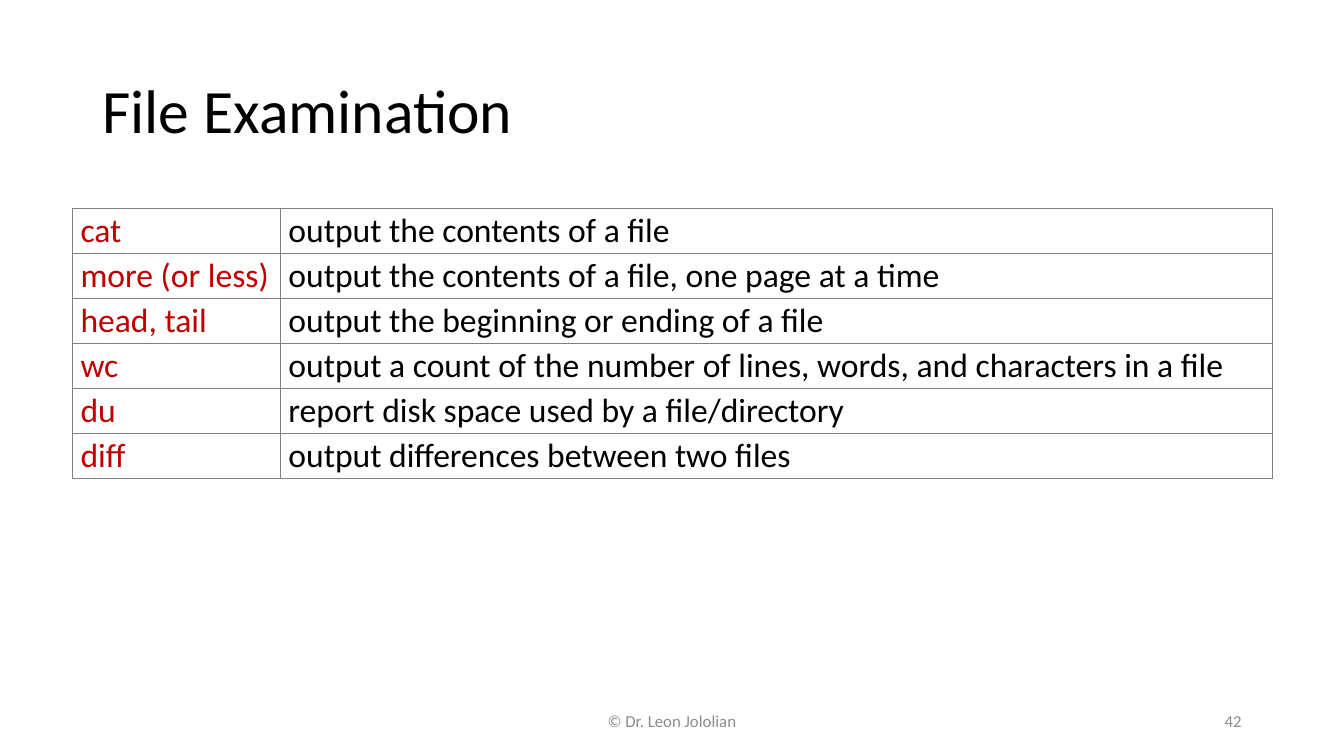
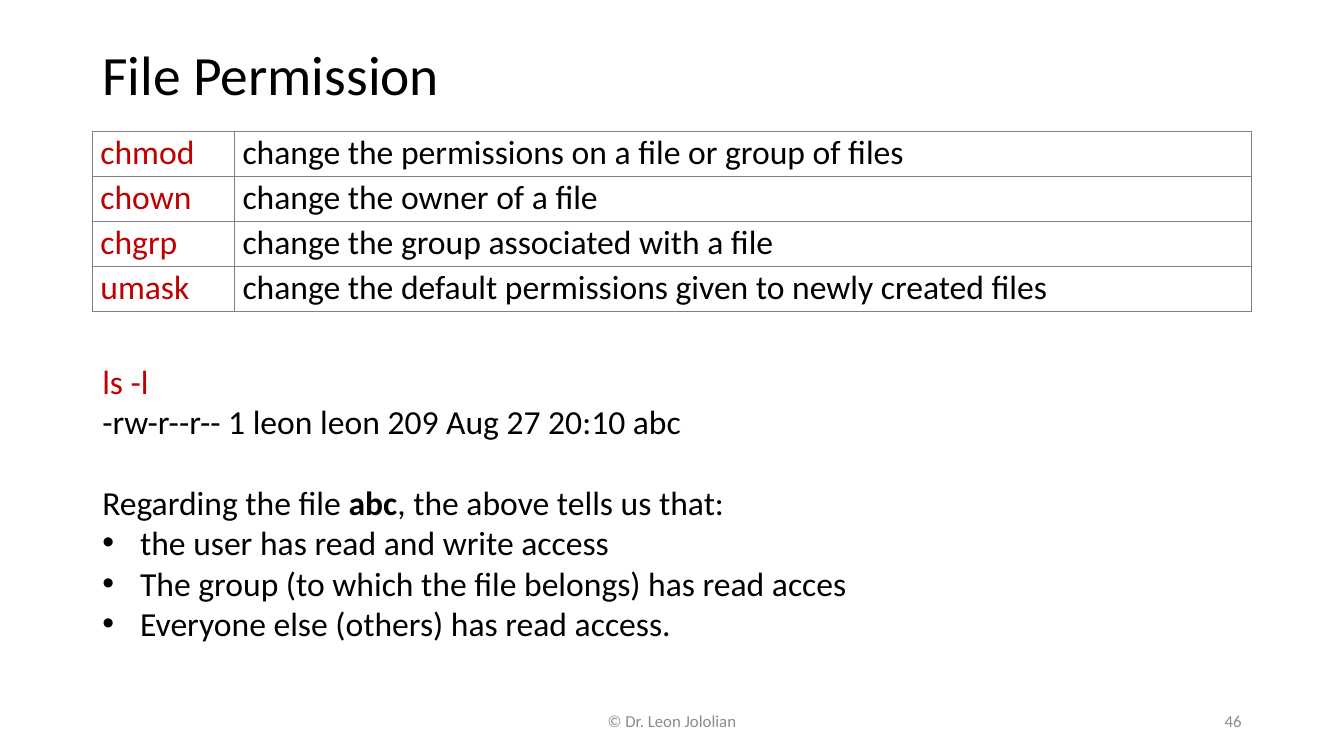
from dataclasses import dataclass

import pptx
import pptx.dml.color
import pptx.enum.text
import pptx.oxml
import pptx.oxml.ns
import pptx.util
from lxml import etree

Pt = pptx.util.Pt
Align = pptx.enum.text.PP_ALIGN
Anchor = pptx.enum.text.MSO_ANCHOR


@dataclass(frozen=True)
class Theme:
    font: str = "Calibri"
    text: str = "000000"
    command: str = "C00000"
    footer: str = "8C8C8C"
    border: str = "808080"
    border_width: float = 0.6
    body_size: float = 24
    footer_size: float = 12
    line_height: float = 28.8
    row_height: float = 31.7
    bullet_indent: float = 27


THEME = Theme()
SLIDE_SIZE = (960, 540)
MARGIN = 66
CONTENT_WIDTH = 828
TITLE_TOP = 28.8
FOOTER_TOP, FOOTER_HEIGHT = 500.5, 28.8
FOOTER_TEXT = "© Dr. Leon Jololian"

SLIDES = [
    {
        "title": "File Examination",
        "title_size": 44,
        "title_height": 104.4,
        "number": "42",
        "table_at": (51.8, 149),
        "columns": (148.5, 708.5),
        "commands": [
            ("cat", "output the contents of a file"),
            ("more (or less)", "output the contents of a file, one page at a time"),
            ("head, tail", "output the beginning or ending of a file"),
            ("wc", "output a count of the number of lines, words, and characters in a file"),
            ("du", "report disk space used by a file/directory"),
            ("diff", "output differences between two files"),
        ],
    },
    {
        "title": "File Permission",
        "title_size": 39.6,
        "title_height": 52.5,
        "number": "46",
        "table_at": (MARGIN, 93.6),
        "columns": (101.5, 726.5),
        "commands": [
            ("chmod", "change the permissions on a file or group of files"),
            ("chown", "change the owner of a file"),
            ("chgrp", "change the group associated with a file"),
            ("umask", "change the default permissions given to newly created files"),
        ],
        "example": {
            "at": (MARGIN, 254.2, 556.5, 211),
            "command": "ls -l",
            "output": "-rw-r--r-- 1 leon leon 209 Aug 27 20:10 abc",
            "explanation": [
                ("Regarding the file ", False),
                ("abc", True),
                (", the above tells us that:", False),
            ],
            "bullets": [
                "the user has read and write access",
                "The group (to which the file belongs) has read acces",
                "Everyone else (others) has read access.",
            ],
        },
    },
]


def add_run(paragraph, text, size=THEME.body_size, color=THEME.text, bold=False):
    run = paragraph.add_run()
    run.text = text
    run.font.name = THEME.font
    run.font.size = Pt(size)
    run.font.bold = bold
    run.font.color.rgb = pptx.dml.color.RGBColor.from_string(color)


def add_title(slide, content):
    title = slide.shapes.title
    title.left, title.top = Pt(MARGIN), Pt(TITLE_TOP)
    title.width, title.height = Pt(CONTENT_WIDTH), Pt(content["title_height"])
    frame = title.text_frame
    frame.auto_size = pptx.enum.text.MSO_AUTO_SIZE.NONE
    frame.vertical_anchor = Anchor.MIDDLE
    paragraph = frame.paragraphs[0]
    paragraph.alignment = Align.LEFT
    paragraph.line_spacing = 0.9
    add_run(paragraph, content["title"], content["title_size"])


def add_footer(slide, number):
    right = MARGIN + CONTENT_WIDTH
    parts = [
        (FOOTER_TEXT, 318, 324, Align.CENTER),
        (number, right - 216, 216, Align.RIGHT),
    ]
    for text, left, width, alignment in parts:
        box = slide.shapes.add_textbox(
            Pt(left), Pt(FOOTER_TOP), Pt(width), Pt(FOOTER_HEIGHT))
        frame = box.text_frame
        frame.word_wrap = True
        frame.vertical_anchor = Anchor.MIDDLE
        paragraph = frame.paragraphs[0]
        paragraph.alignment = alignment
        add_run(paragraph, text, THEME.footer_size, THEME.footer)


def add_borders(cell):
    properties = cell._tc.get_or_add_tcPr()
    for side in ("lnL", "lnR", "lnT", "lnB"):
        properties.append(pptx.oxml.parse_xml(
            f'<a:{side} {pptx.oxml.ns.nsdecls("a")} w="{Pt(THEME.border_width)}">'
            f'<a:solidFill><a:srgbClr val="{THEME.border}"/></a:solidFill></a:{side}>'))


def add_command_table(slide, content):
    rows, columns = content["commands"], content["columns"]
    left, top = content["table_at"]
    table = slide.shapes.add_table(
        len(rows), len(columns), Pt(left), Pt(top),
        Pt(sum(columns)), Pt(len(rows) * THEME.row_height)).table
    table.first_row = table.horz_banding = False
    for column, width in zip(table.columns, columns):
        column.width = Pt(width)
    for row, texts in zip(table.rows, rows):
        row.height = Pt(THEME.row_height)
        for cell, text, color in zip(row.cells, texts, (THEME.command, THEME.text)):
            cell.margin_left = cell.margin_right = Pt(5.76)
            cell.margin_top = cell.margin_bottom = Pt(1.44)
            add_borders(cell)
            cell.fill.background()
            add_run(cell.text_frame.paragraphs[0], text, color=color)


def add_bullet(paragraph):
    properties = paragraph._p.get_or_add_pPr()
    properties.set("marL", str(Pt(THEME.bullet_indent)))
    properties.set("indent", str(-Pt(THEME.bullet_indent)))
    for tag, name, value in (("a:buFont", "typeface", "Arial"), ("a:buChar", "char", "•")):
        etree.SubElement(properties, pptx.oxml.ns.qn(tag)).set(name, value)


def add_example(slide, example):
    frame = slide.shapes.add_textbox(*map(Pt, example["at"])).text_frame
    frame.word_wrap = False
    frame.auto_size = pptx.enum.text.MSO_AUTO_SIZE.SHAPE_TO_FIT_TEXT
    add_run(frame.paragraphs[0], example["command"], color=THEME.command)
    add_run(frame.add_paragraph(), example["output"])
    explanation = frame.add_paragraph()
    explanation.space_before = Pt(THEME.line_height)
    for text, bold in example["explanation"]:
        add_run(explanation, text, bold=bold)
    for text in example["bullets"]:
        paragraph = frame.add_paragraph()
        add_bullet(paragraph)
        add_run(paragraph, text)


def main():
    presentation = pptx.Presentation()
    presentation.slide_width, presentation.slide_height = map(Pt, SLIDE_SIZE)
    title_only = presentation.slide_layouts.get_by_name("Title Only")
    for content in SLIDES:
        slide = presentation.slides.add_slide(title_only)
        add_title(slide, content)
        add_command_table(slide, content)
        add_footer(slide, content["number"])
        if "example" in content:
            add_example(slide, content["example"])
    presentation.save("out.pptx")


if __name__ == "__main__":
    main()
